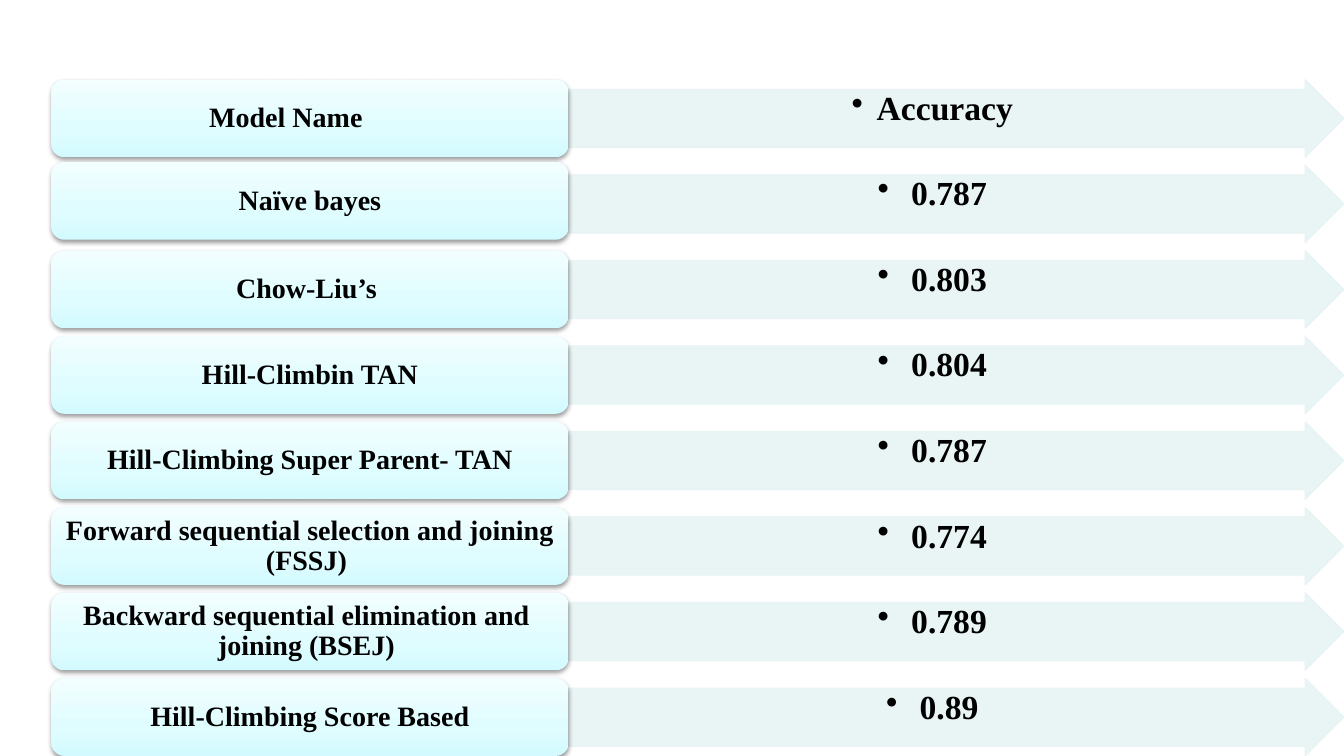
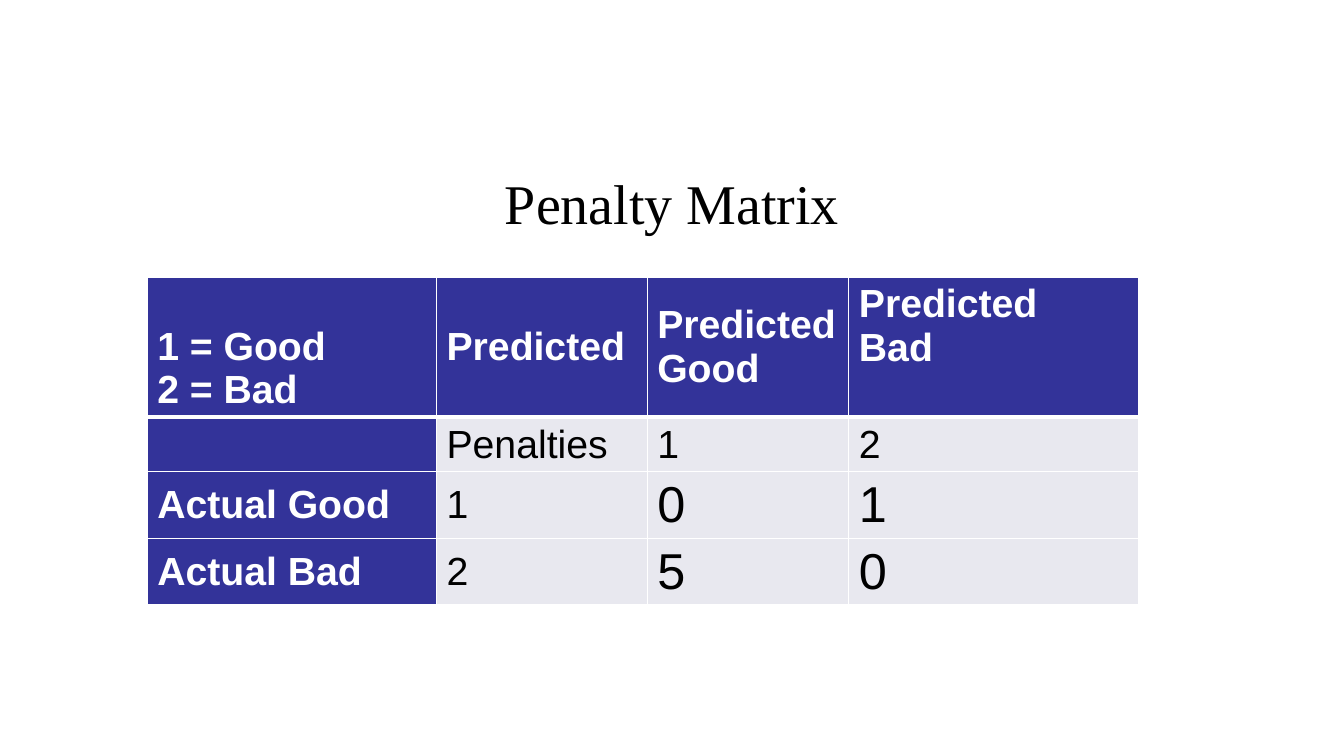
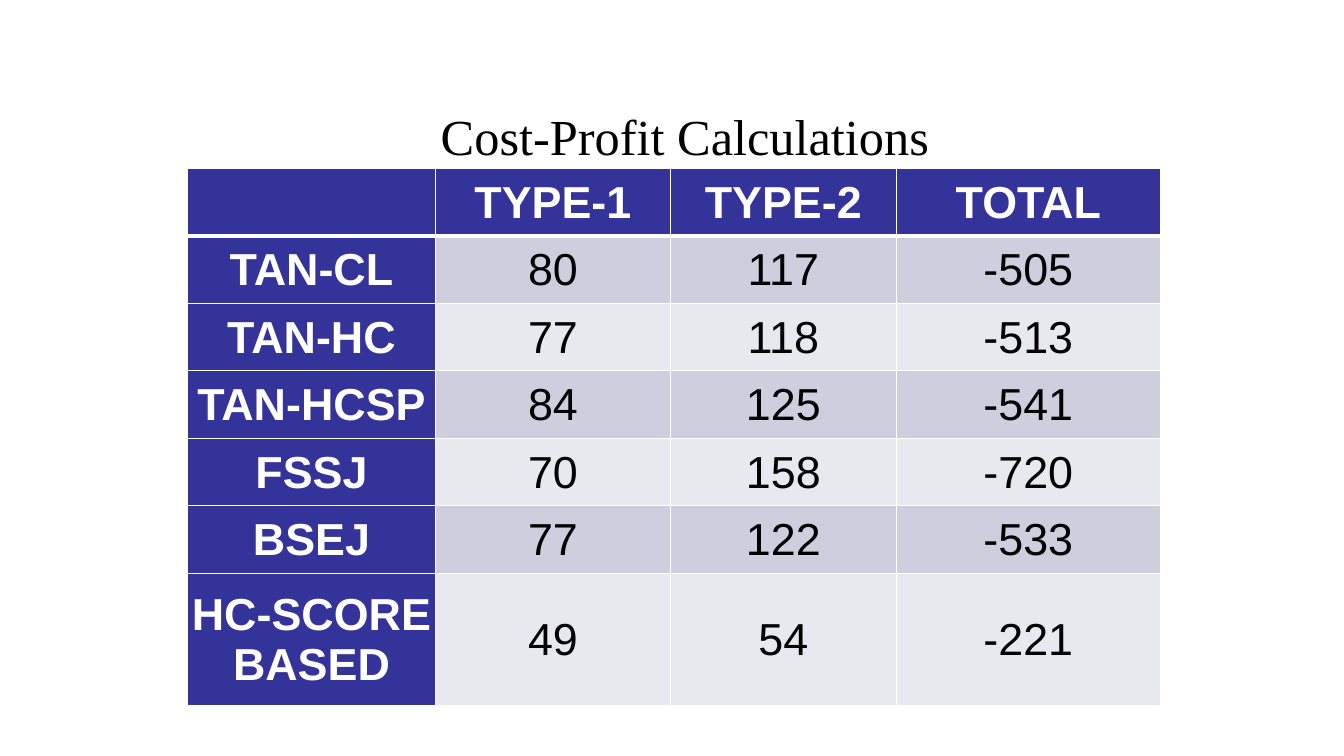
from pptx import Presentation
from pptx.dml.color import RGBColor
from pptx.enum.shapes import MSO_SHAPE
from pptx.enum.text import MSO_ANCHOR, MSO_AUTO_SIZE, PP_ALIGN
from pptx.oxml import parse_xml
from pptx.oxml.ns import nsdecls, qn
from pptx.util import Emu, Pt

ARROW, ROUNDED = MSO_SHAPE.RIGHT_ARROW, MSO_SHAPE.ROUNDED_RECTANGLE
TOP, MIDDLE, BOTTOM = MSO_ANCHOR.TOP, MSO_ANCHOR.MIDDLE, MSO_ANCHOR.BOTTOM
LEFT, CENTER = PP_ALIGN.LEFT, PP_ALIGN.CENTER

# Shared look
SCALE = 9144  # EMU in one px, 100 px to the inch
SLIDE_WIDTH, SLIDE_HEIGHT = 1333, 750
SERIF, SANS = "Times New Roman", "Arial"
BLACK, WHITE, NAVY = "000000", "FFFFFF", "333399"
BAND_DARK, BAND_LIGHT = "CECEDE", "E8E8EF"
ARROW_TINT = "E7F3F4"
BOX_GRADIENT = [(0, "D3FBFF"), (35, "DFFCFF"), (100, "F2FEFF")]
TITLE_SIZE = (1133, 125)

# Content
# Model name, accuracy, vertical shift of the name box
ACCURACIES = [
    ("Model Name\t", "Accuracy", 0),
    ("Naïve bayes", " 0.787", -3),
    ("Chow-Liu’s ", " 0.803", 0),
    ("Hill-Climbin TAN", " 0.804", 0),
    ("Hill-Climbing Super Parent- TAN", " 0.787", 0),
    ("Forward sequential selection and joining (FSSJ) ", " 0.774", 0),
    ("Backward sequential elimination and  joining (BSEJ) ", " 0.789", 0),
    ("Hill-Climbing Score Based", " 0.89", 0),
]
PENALTY = {
    "title": "Penalty Matrix", "title_at": (100, 150), "title_size": 40,
    "at": (146, 275), "columns": [287, 209, 200, 287], "rows": [139, 54, 66, 66],
    "cells": [
        ["1 = Good\n2 = Bad", "Predicted", "Predicted\nGood", "Predicted\nBad"],
        ["", "Penalties", "1", "2"],
        ["Actual Good", "1", "0", "1"],
        ["Actual Bad", "2", "5", "0"],
    ],
    "bands": [BAND_LIGHT], "size": 28, "align": LEFT, "margins": (10, 5, 10, 5),
    "anchors": {(0, 0): BOTTOM, (0, 3): TOP},
    "sizes": {(row, column): 36 for row in (2, 3) for column in (2, 3)},
}
PROFIT = {
    "title": "Cost-Profit Calculations", "title_at": (113, 87), "title_size": 36,
    "at": (186, 167), "columns": [246, 233, 224, 262], "rows": [67] * 6 + [131],
    "cells": [
        ["", "TYPE-1", "TYPE-2", "TOTAL"],
        ["TAN-CL", "80", "117", "-505"],
        ["TAN-HC", "77", "118", "-513"],
        ["TAN-HCSP", "84", "125", "-541"],
        ["FSSJ", "70", "158", "-720"],
        ["BSEJ", "77", "122", "-533"],
        ["HC-SCORE BASED", "49", "54", "-221"],
    ],
    "bands": [BAND_DARK, BAND_LIGHT], "size": 32, "align": CENTER,
    "margins": (1, 1, 1, 0), "anchors": {}, "sizes": {},
}


def px(length):
    return Emu(round(length * SCALE))


def color(hex_code):
    return RGBColor.from_string(hex_code)


def set_margins(target, margins):
    """Set left, top, right and bottom margins of a text frame or a cell."""
    for side, margin in zip(("left", "top", "right", "bottom"), margins):
        setattr(target, f"margin_{side}", px(margin))


def write_text(frame, text, *, size, font=SERIF, ink=BLACK, bold=False,
               align=CENTER, spacing=None, bullet=False):
    for index, line in enumerate(text.split("\n")):
        paragraph = frame.add_paragraph() if index else frame.paragraphs[0]
        paragraph.alignment = align
        if spacing:
            paragraph.line_spacing = spacing
        if bullet:
            properties = paragraph._p.get_or_add_pPr()
            properties.set("marL", str(px(25)))
            properties.set("indent", str(px(-25)))
            properties.append(parse_xml(f'<a:buChar {nsdecls("a")} char="•"/>'))
        run = paragraph.add_run()
        run.text = line
        run.font.name = font
        run.font.size = Pt(size)
        run.font.bold = bold
        run.font.color.rgb = color(ink)


def add_shape(slide, kind, left, top, width, height, margins, anchor):
    shape = slide.shapes.add_shape(kind, px(left), px(top), px(width), px(height))
    shape.shadow.inherit = False
    frame = shape.text_frame
    frame.word_wrap = True
    frame.vertical_anchor = anchor
    set_margins(frame, margins)
    return shape


def add_accuracy_arrow(slide, top, height, text):
    left = 564
    arrow = add_shape(slide, ARROW, left, top, SLIDE_WIDTH - left, height,
                      (2, 2, 21, 2), TOP)
    arrow.adjustments[0], arrow.adjustments[1] = 0.75, 0.5
    arrow.line.width = Pt(0.75)
    for fill in (arrow.fill, arrow.line.fill):
        fill.solid()
        fill.fore_color.rgb = color(ARROW_TINT)
    for tint in arrow.element.spPr.iter(qn("a:srgbClr")):
        tint.append(parse_xml(f'<a:alpha {nsdecls("a")} val="90000"/>'))
    write_text(arrow.text_frame, text, size=24, bold=True, spacing=0.9, bullet=True)


def add_name_box(slide, top, height, text):
    box = add_shape(slide, ROUNDED, 51, top, 513, height, (8, 4, 8, 4), MIDDLE)
    box.line.fill.background()
    box.fill.gradient()
    box.fill.gradient_angle = 90
    properties = box.element.spPr
    stops = properties.find(".//" + qn("a:gsLst"))
    for stop in list(stops):
        stops.remove(stop)
    for position, tint in BOX_GRADIENT:
        stops.append(parse_xml(
            f'<a:gs {nsdecls("a")} pos="{position * 1000}"><a:srgbClr val="{tint}"/></a:gs>'))
    properties.find(qn("a:effectLst")).append(parse_xml(
        f'<a:outerShdw {nsdecls("a")} blurRad="{Pt(3.1)}" dist="{Pt(1.6)}" dir="5400000" '
        f'rotWithShape="0"><a:srgbClr val="{BLACK}"><a:alpha val="38000"/></a:srgbClr>'
        '</a:outerShdw>'))
    write_text(box.text_frame, text, size=20, bold=True, spacing=0.9)


def add_accuracy_slide(presentation):
    slide = presentation.slides.add_slide(presentation.slide_layouts[6])
    first_top, height = 79, 77
    step = (SLIDE_HEIGHT - height - first_top) / (len(ACCURACIES) - 1)
    for index, (name, accuracy, shift) in enumerate(ACCURACIES):
        top = first_top + index * step
        add_accuracy_arrow(slide, top, height, accuracy)
        add_name_box(slide, top + shift, height, name)


def set_borders(cell, row):
    """White rules: thick under the header row, thin elsewhere."""
    widths = {"L": 1, "R": 1, "T": 3 if row == 1 else 1, "B": 3 if row == 0 else 1}
    properties = cell._tc.get_or_add_tcPr()
    for side, width in widths.items():
        properties.append(parse_xml(
            f'<a:ln{side} {nsdecls("a")} w="{Pt(width)}"><a:solidFill>'
            f'<a:srgbClr val="{WHITE}"/></a:solidFill></a:ln{side}>'))


def add_table_slide(presentation, content):
    slide = presentation.slides.add_slide(presentation.slide_layouts[5])

    # Title
    title = slide.shapes.title
    title.left, title.top = map(px, content["title_at"])
    title.width, title.height = map(px, TITLE_SIZE)
    frame = title.text_frame
    frame.word_wrap = True
    frame.auto_size = MSO_AUTO_SIZE.NONE
    frame.vertical_anchor = TOP
    set_margins(frame, (10, 17, 10, 10))
    write_text(frame, content["title"], size=content["title_size"])

    # Table grid
    columns, rows = content["columns"], content["rows"]
    left, top = content["at"]
    table = slide.shapes.add_table(len(rows), len(columns), px(left), px(top),
                                   px(sum(columns)), px(sum(rows))).table
    table.horz_banding = False
    for column, width in zip(table.columns, columns):
        column.width = px(width)
    for row, height in zip(table.rows, rows):
        row.height = px(height)

    # Cells
    bands = content["bands"]
    for row, texts in enumerate(content["cells"]):
        for column, text in enumerate(texts):
            cell = table.cell(row, column)
            heading = row == 0 or column == 0
            set_borders(cell, row)
            cell.fill.solid()
            cell.fill.fore_color.rgb = color(NAVY if heading else bands[(row - 1) % len(bands)])
            set_margins(cell, content["margins"])
            cell.vertical_anchor = content["anchors"].get((row, column), MIDDLE)
            if text:
                write_text(cell.text_frame, text, font=SANS, bold=heading,
                           size=content["sizes"].get((row, column), content["size"]),
                           ink=WHITE if heading else BLACK, align=content["align"])


def main():
    presentation = Presentation()
    presentation.slide_width = px(SLIDE_WIDTH)
    presentation.slide_height = px(SLIDE_HEIGHT)
    add_accuracy_slide(presentation)
    for content in (PENALTY, PROFIT):
        add_table_slide(presentation, content)
    presentation.save("out.pptx")


if __name__ == "__main__":
    main()
